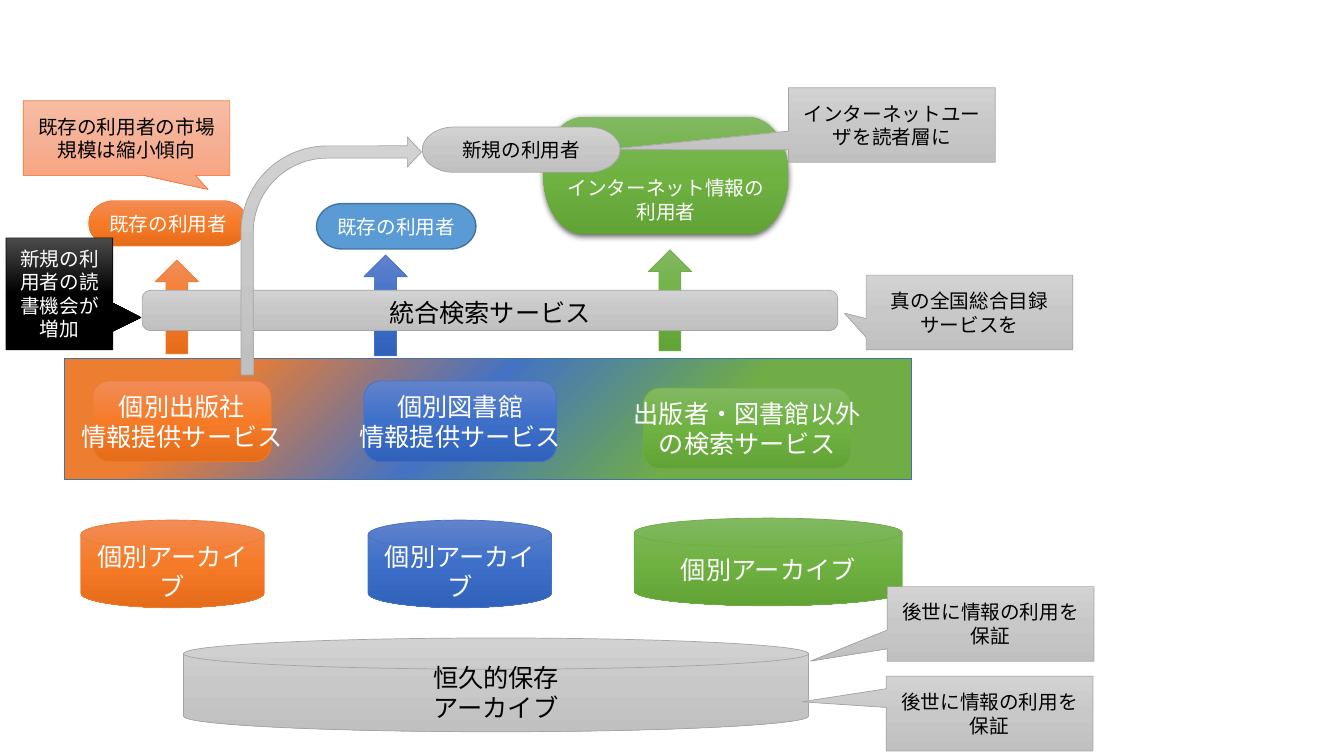
from lxml.etree import SubElement as Sub
from pptx import Presentation
from pptx.dml.color import RGBColor as RGB
from pptx.enum.shapes import MSO_SHAPE as Kind
from pptx.enum.text import MSO_ANCHOR as Anchor, PP_ALIGN as Align
from pptx.oxml.ns import qn
from pptx.util import Inches, Pt

WHITE = RGB(0xFF, 0xFF, 0xFF)
BLACK = RGB(0x00, 0x00, 0x00)
RED = RGB(0xED, 0x7D, 0x31)
BLUE = RGB(0x44, 0x72, 0xC4)
GREEN = RGB(0x70, 0xAD, 0x47)
GRAY = RGB(0xA5, 0xA5, 0xA5)
SKY = RGB(0x5B, 0x9B, 0xD5)
NAVY = RGB(0x43, 0x73, 0x9E)


def ramp(*codes):
    return list(zip((0, 50, 100), map(RGB.from_string, codes)))


RED_RAMP = ramp("F18C57", "F67B28", "E56C19")
BLUE_RAMP = ramp("6183CB", "3E70CA", "3062BB")
GREEN_RAMP = ramp("81B861", "6FB242", "62A336")
GRAY_RAMP = ramp("D2D2D2", "C8C8C8", "C0C0C0")
PEACH_RAMP = ramp("F7BDA5", "F5B196", "F8A582")
DARK_RAMP = ramp("4B4B4B", "000000", "000000")

RED_LOOK = (RED_RAMP, RED, WHITE)
BLUE_LOOK = (BLUE_RAMP, BLUE, WHITE)
GREEN_LOOK = (GREEN_RAMP, GREEN, WHITE)
GRAY_LOOK = (GRAY_RAMP, GRAY, BLACK)
PEACH_LOOK = (PEACH_RAMP, RED, BLACK)
DARK_LOOK = (DARK_RAMP, BLACK, WHITE)
SKY_LOOK = (SKY, NAVY, WHITE)
LOOKS = (RED_LOOK, BLUE_LOOK, GREEN_LOOK)


def paint(shape, stops, angle):
    shape.fill.gradient()
    shape.fill.gradient_angle = 360 - angle
    stop_list = shape.fill._xPr.find(qn("a:gradFill")).find(qn("a:gsLst"))
    stop_list.clear()
    for place, color in stops:
        stop = Sub(stop_list, qn("a:gs"), pos=str(place * 1000))
        Sub(stop, qn("a:srgbClr"), val=str(color))


def draw(slide, kind, box, look, adjust=(), angle=90, width=0.5):
    shape = slide.shapes.add_shape(kind, *map(Inches, box))
    shape.shadow.inherit = False
    for index, value in enumerate(adjust):
        shape.adjustments[index] = value
    fill, line, _ = look
    if isinstance(fill, list):
        paint(shape, fill, angle)
    else:
        shape.fill.solid()
        shape.fill.fore_color.rgb = fill
    if line is None:
        shape.line.fill.background()
    else:
        shape.line.color.rgb = line
        shape.line.width = Pt(width)
    return shape


def write(shape, text, look, size, font="Calibri", wrap=True):
    frame = shape.text_frame
    frame.text = text
    frame.word_wrap = wrap
    frame.vertical_anchor = Anchor.MIDDLE if wrap else Anchor.TOP
    for para in frame.paragraphs:
        para.alignment = Align.CENTER
        for run in para.runs:
            run.font.size = Pt(size)
            run.font.name = font
            run.font.color.rgb = look[2]


def label(slide, box, text, look):
    shape = draw(slide, Kind.ROUNDED_RECTANGLE, box, look, [0.207])
    write(shape, text, look, 18, "Noto Sans CJK JP", False)


def pill(slide, box, text, look, width=0.5):
    shape = draw(slide, Kind.FLOWCHART_TERMINATOR, box, look, width=width)
    write(shape, text, look, 14)
    return shape


def disk(slide, box, text, look):
    shape = draw(slide, Kind.FLOWCHART_MAGNETIC_DISK, box, look)
    write(shape, text, look, 18)


def note(slide, box, tip, text, look=GRAY_LOOK):
    shape = draw(slide, Kind.RECTANGULAR_CALLOUT, box, look, tip)
    write(shape, text, look, 14)


def add_desks(slide, left, top, width, height):
    blend = [(18, RED), (47, BLUE), (74, GREEN)]
    draw(slide, Kind.RECTANGLE, (left, top, width, height),
         (blend, NAVY, WHITE), angle=45, width=1)
    desks = [
        (0.28, 0.22, 1.77, "個別出版社\n情報提供サービス"),
        (2.97, 0.22, 1.91, "個別図書館\n情報提供サービス"),
        (5.74, 0.29, 2.06, "出版者・図書館以外\nの検索サービス"),
    ]
    for (x, y, wide, text), look in zip(desks, LOOKS):
        label(slide, (left + x, top + y, wide, 0.8), text, look)


def add_stores(slide, left, top):
    spots = [(0, 0.02, 1.82), (2.85, 0.02, 1.82), (5.49, 0, 2.66)]
    for (x, y, wide), look in zip(spots, LOOKS):
        disk(slide, (left + x, top + y, wide, 0.87), "個別アーカイブ", look)
    disk(slide, (left + 1.02, top + 1.19, 6.2, 0.93),
         "恒久的保存\nアーカイブ", GRAY_LOOK)


def add_users(slide, left, top):
    pill(slide, (left, top + 0.83, 1.58, 0.45), "既存の利用者", RED_LOOK)
    pill(slide, (left + 2.26, top + 0.86, 1.58, 0.45),
         "既存の利用者", SKY_LOOK, 1)
    crowd = pill(slide, (left + 4.51, top, 2.43, 1.16),
                 "インターネット情報の利用者", (GREEN_RAMP, None, WHITE))
    crowd.text_frame.vertical_anchor = Anchor.TOP
    crowd.text_frame.margin_top = Inches(0.42)
    effects = crowd._element.spPr.find(qn("a:effectLst"))
    shade = Sub(effects, qn("a:outerShdw"), blurRad=str(Pt(4.5)),
                dist=str(Pt(1.5)), dir="5400000", rotWithShape="0")
    color = Sub(shade, qn("a:srgbClr"), val=str(BLACK))
    Sub(color, qn("a:alpha"), val="63000")


def add_notes(slide):
    wide, high = 2.05, 0.74
    note(slide, (0.23, 1, wide, high), (0.394, 0.689),
         "既存の利用者の市場規模は縮小傾向", PEACH_LOOK)
    note(slide, (0.06, 2.36, 1.06, 1.11), (0.764, 0.212),
         "新規の利用者の読書機会が増加", DARK_LOOK)
    notes = [
        (7.82, 0.87, (-1.374, 0.329), "インターネットユーザを読者層に"),
        (8.59, 2.73, (-0.605, 0.011), "真の全国総合目録サービスを"),
        (8.8, 5.82, (-0.871, 0.498), "後世に情報の利用を保証"),
        (8.79, 6.71, (-0.909, -0.158), "後世に情報の利用を保証"),
    ]
    for x, y, tip, text in notes:
        note(slide, (x, y, wide, high), tip, text)


def add_search(slide, left, top, width, height):
    ups = [(0.13, -0.3, 0.93), (2.2, -0.35, 1), (5.02, -0.4, 1)]
    for (x, y, high), look in zip(ups, LOOKS):
        draw(slide, Kind.UP_ARROW, (left + x, top + y, 0.43, high), look)
    label(slide, (left, top, width, height), "統合検索サービス", GRAY_LOOK)
    pill(slide, (left + 2.78, top - 1.62, 1.96, 0.45),
         "新規の利用者", GRAY_LOOK)
    draw(slide, Kind.BENT_ARROW, (left + 0.98, top - 1.52, 1.79, 2.36),
         GRAY_LOOK, (0.068, 0.083, 0.078, 0.478))


def main():
    deck = Presentation()
    deck.slide_width = Inches(13.33)
    deck.slide_height = Inches(7.5)
    slide = deck.slides.add_slide(deck.slide_layouts[6])
    add_desks(slide, 0.64, 3.56, 8.4, 1.2)
    add_stores(slide, 0.8, 5.14)
    add_users(slide, 0.88, 1.16)
    add_notes(slide)
    add_search(slide, 1.41, 2.88, 6.9, 0.4)
    deck.save("out.pptx")


if __name__ == "__main__":
    main()
